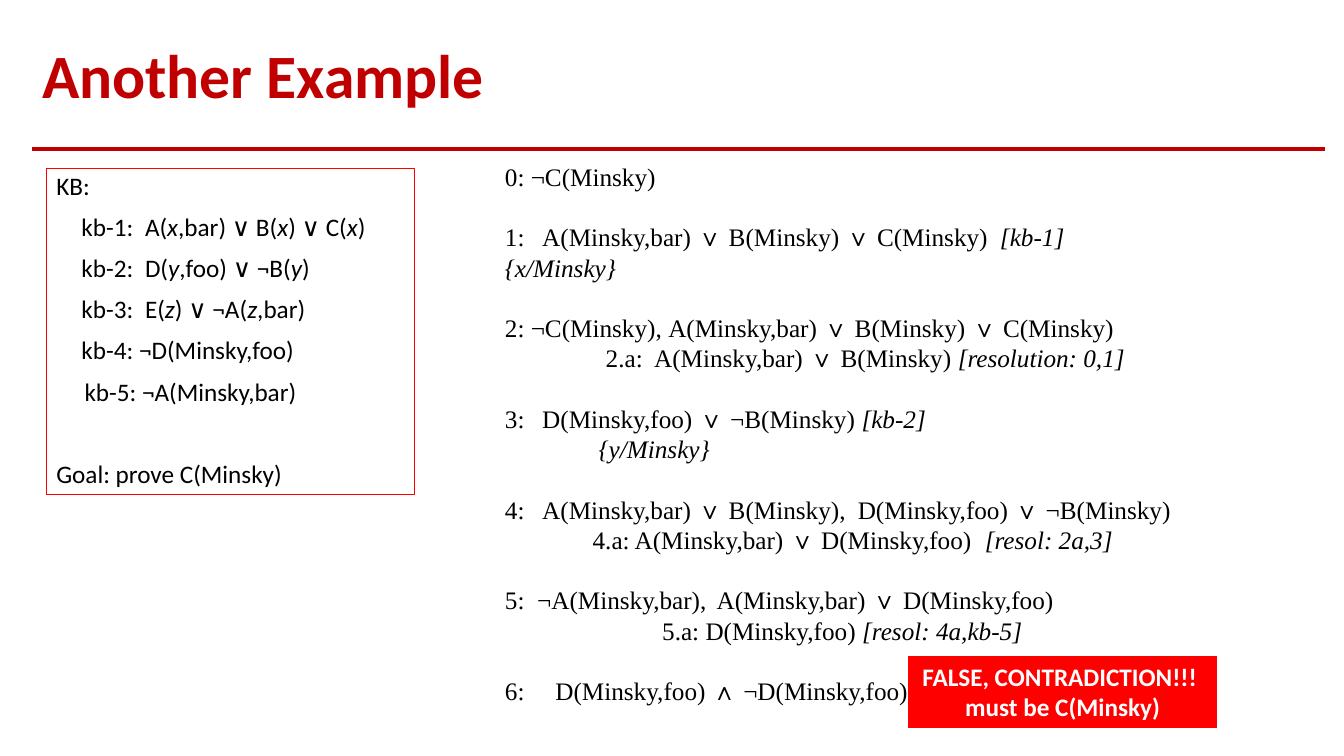
from pptx import Presentation
from pptx.dml.color import RGBColor
from pptx.enum.shapes import MSO_CONNECTOR as CONN, MSO_SHAPE as SHAPE
from pptx.enum.text import MSO_ANCHOR as ANCHOR, PP_ALIGN as ALIGN
from pptx.oxml.ns import qn
from pptx.util import Pt
from lxml import etree

PX = 9144  # 100 px to the inch

CRIMSON = RGBColor(0xC0, 0x00, 0x00)
RED = RGBColor(0xFF, 0x00, 0x00)
BLACK = RGBColor(0x00, 0x00, 0x00)
WHITE = RGBColor(0xFF, 0xFF, 0xFF)
SANS, SERIF = "Calibri", "Times New Roman"
PROOF_LINE = 21.6  # line height of the proof, in points

# Each line: tab stops in px, text with *italic* parts
KB = [
    ((), "KB:"),
    ((25, 88), "\tkb-1:\tA(*x*,bar) ∨ B(*x*) ∨ C(*x*)"),
    ((25, 88), "\tkb-2:\tD(*y*,foo) ∨ ¬B(*y*)"),
    ((25, 88), "\tkb-3:\tE(*z*) ∨ ¬A(*z*,bar)"),
    ((25,), "\tkb-4: ¬D(Minsky,foo)"),
    ((28,), "\tkb-5: ¬A(Minsky,bar)"),
]
GOAL = ((), "Goal: prove C(Minsky)")

# Proof steps, each a group of lines
STEPS = [
    [((), "0: ¬C(Minsky)")],
    [((37, 491, 600), "1:\tA(Minsky,bar) ∨ B(Minsky) ∨ C(Minsky)\t*[kb-1]\t{x/Minsky}*")],
    [((162,), "2: ¬C(Minsky),\tA(Minsky,bar) ∨ B(Minsky) ∨ C(Minsky)"),
     ((100, 148), "\t2.a:\tA(Minsky,bar) ∨ B(Minsky) *[resolution: 0,1]*")],
    [((37,), "3:\tD(Minsky,foo) ∨ ¬B(Minsky) *[kb-2]*"),
     ((93,), "*\t{y/Minsky}*")],
    [((37, 350), "4:\tA(Minsky,bar) ∨ B(Minsky),\tD(Minsky,foo) ∨ ¬B(Minsky)"),
     ((87, 476), "\t4.a: A(Minsky,bar) ∨ D(Minsky,foo)\t*[resol: 2a,3]*")],
    [((32, 210), "5:\t¬A(Minsky,bar),\tA(Minsky,bar) ∨ D(Minsky,foo)"),
     ((156,), "\t5.a: D(Minsky,foo) *[resol: 4a,kb-5]*")],
    [((50,), "6:\tD(Minsky,foo) ∧ ¬D(Minsky,foo)")],
]


def style(r, font, color, size=18, bold=False, italic=False):
    r.font.name, r.font.size = font, Pt(size)
    r.font.bold, r.font.italic = bold, italic
    r.font.color.rgb = color


def add_box(s, x, y, w, h, line=None, fill=None):
    box = (x * PX, y * PX, w * PX, h * PX)
    if line is None:
        sp = s.shapes.add_textbox(*box)
    else:
        sp = s.shapes.add_shape(SHAPE.RECTANGLE, *box)
        sp.shadow.inherit = False
        sp.line.color.rgb, sp.line.width = line, Pt(0.75)
        if fill is None:
            sp.fill.background()
        else:
            sp.fill.solid()
            sp.fill.fore_color.rgb = fill
    tf = sp.text_frame
    tf.word_wrap, tf.vertical_anchor = True, ANCHOR.TOP
    return tf


def add_rule(s, x1, x2, y):
    rule = s.shapes.add_connector(CONN.STRAIGHT, x1 * PX, y * PX, x2 * PX, y * PX)
    rule.line.color.rgb, rule.line.width = CRIMSON, Pt(2.5)
    etree.SubElement(rule._element.spPr, qn("a:effectLst"))


def add_line(tf, first, line, font, spacing, before):
    tabs, text = line
    p = tf.paragraphs[0] if first else tf.add_paragraph()
    p.alignment = ALIGN.LEFT
    p.line_spacing, p.space_before = spacing, Pt(before)
    if tabs:
        stops = etree.SubElement(p._p.get_or_add_pPr(), qn("a:tabLst"))
        for x in tabs:
            etree.SubElement(stops, qn("a:tab"), pos=str(x * PX), algn="l")
    for i, part in enumerate(text.split("*")):
        if part:
            r = p.add_run()
            r.text = part
            style(r, font, BLACK, italic=i % 2 == 1)


def add_kb(s):
    tf = add_box(s, 46, 167, 365, 324, line=RED)
    for i, line in enumerate(KB):
        add_line(tf, i == 0, line, SANS, 0.9, 10)
    add_line(tf, False, GOAL, SANS, 0.9, 39.5)


def add_proof(s):
    tf = add_box(s, 491, 155, 716, 555)
    for i, step in enumerate(STEPS):
        for j, line in enumerate(step):
            before = PROOF_LINE if i and j == 0 else 0
            add_line(tf, i + j == 0, line, SERIF, Pt(PROOF_LINE), before)


def add_heading(s, text):
    tf = add_box(s, 32, 28, 1282, 100)
    tf.vertical_anchor = ANCHOR.MIDDLE
    tf.text = text
    p = tf.paragraphs[0]
    p.line_spacing = 0.9
    style(p.runs[0], SANS, CRIMSON, 44, bold=True)


def add_verdict(s, text):
    tf = add_box(s, 901, 651, 306, 71, line=RED, fill=RED)
    tf.text = text
    for p in tf.paragraphs:
        p.alignment = ALIGN.CENTER
        style(p.runs[0], SANS, WHITE, bold=True)


def main():
    prs = Presentation()
    prs.slide_width, prs.slide_height = 1333 * PX, 750 * PX
    s = prs.slides.add_slide(prs.slide_layouts[6])
    # Header
    add_rule(s, 32, 1314, 148)
    add_heading(s, "Another Example")
    # Knowledge base and resolution proof
    add_kb(s)
    add_proof(s)
    # Conclusion
    add_verdict(s, "FALSE, CONTRADICTION!!! \nmust be C(Minsky)")
    prs.save("out.pptx")


if __name__ == "__main__":
    main()
